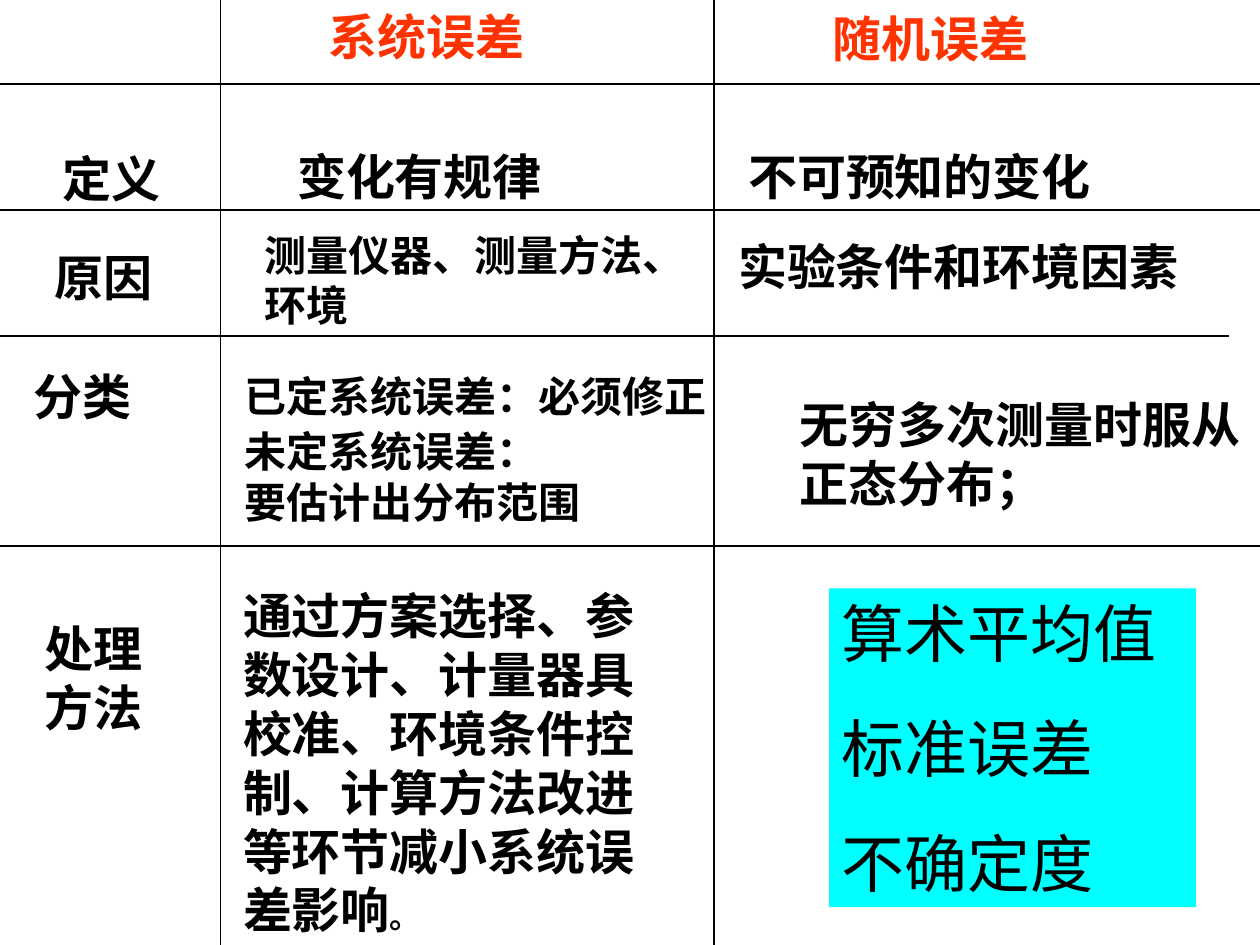
from dataclasses import dataclass

from lxml.etree import SubElement
from pptx import Presentation
from pptx.dml.color import RGBColor
from pptx.enum.shapes import MSO_CONNECTOR, MSO_SHAPE
from pptx.enum.text import MSO_ANCHOR, MSO_AUTO_SIZE, PP_ALIGN
from pptx.oxml.ns import qn
from pptx.util import Pt

WIDTH, HEIGHT = 720, 540
SIDE_MARGIN, SLACK = 7.2, 1
BLACK, RED, CYAN = "000000", "FF3300", "00FFFF"
LATIN, CHINESE = "Arial", "Noto Sans CJK SC"
FRAME_FORMAT = {
    "margin_left": Pt(SIDE_MARGIN),
    "margin_right": Pt(SIDE_MARGIN),
    "margin_top": Pt(3.6),
    "margin_bottom": Pt(3.6),
    "vertical_anchor": MSO_ANCHOR.TOP,
    "auto_size": MSO_AUTO_SIZE.SHAPE_TO_FIT_TEXT,
}


@dataclass(frozen=True)
class Entry:
    left: float
    top: float
    height: float
    lines: tuple
    wrap_width: float = 0
    size: float = 28
    color: str = BLACK
    font: str = LATIN
    bold: bool = True
    fill: str = ""
    gap: float = 0
    indent: float = 0

    @property
    def width(self) -> float:
        longest = max(len(line) for line in self.lines)
        return self.wrap_width or longest * self.size + 2 * SIDE_MARGIN + SLACK


@dataclass(frozen=True)
class Rule:
    x1: float
    y1: float
    x2: float
    y2: float


HEADERS = (
    Entry(180.7, 0, 41, ("系统误差",), color=RED),
    Entry(468.7, 1.4, 41, ("随机误差",), color=RED),
)
ROW_LABELS = (
    Entry(28.8, 81.4, 41, ("定义",)),
    Entry(24.2, 138, 41, ("原因",)),
    Entry(12.2, 206, 74.9 - 33.9, ("分类",)),
    Entry(18.3, 350, 74.9, ("处理", "方法")),
)
SYSTEMATIC = (
    Entry(162.7, 79.9, 41, ("变化有规律",)),
    Entry(144, 127.4, 64.8, ("测量仪器、测量方法、", "环境"), 257.8, size=24),
    Entry(132.5, 208, 36, ("已定系统误差：必须修正",), size=24),
    Entry(132.5, 239.8, 64.8, ("未定系统误差：", "要估计出分布范围"), size=24),
    Entry(131.8, 331.2, 208.8,
          ((("通过方案选择、参数设计、计量器具校准、环境条件控制、"
             "计算方法改进等环节减小系统误差影响", 28), ("。", 18)),),
          264.2, font=CHINESE),
)
RANDOM = (
    Entry(420.5, 79.9, 41, ("不可预知的变化",)),
    Entry(414.7, 131.8, 41, ("实验条件和环境因素",)),
    Entry(414, 221.8, 74.9, ("无穷多次测量时服从", "正态分布；"), 329.8, indent=36),
    Entry(473.8, 336.2, 182.2, ("算术平均值", "标准误差", "不确定度"), 209.5, size=36,
          font=CHINESE, bold=False, fill=CYAN, gap=22.5),
)
RULES = tuple(Rule(x, 0, x, HEIGHT) for x in (126, 408)) + tuple(
    Rule(0, y, right, y) for y, right in ((48, WIDTH), (120, WIDTH), (192, 702), (312, WIDTH))
)


def rgb(code: str) -> RGBColor:
    return RGBColor.from_string(code)


def apply_format(target, values: dict) -> None:
    for attribute, value in values.items():
        setattr(target, attribute, value)


def add_run(paragraph, text: str, size: float, entry: Entry) -> None:
    run = paragraph.add_run()
    run.text = text
    apply_format(run.font, {"size": Pt(size), "bold": entry.bold, "name": entry.font})
    run.font.color.rgb = rgb(entry.color)
    SubElement(run.font._element, qn("a:ea"), typeface=CHINESE)


def draw_entry(slide, entry: Entry) -> None:
    bounds = [Pt(v) for v in (entry.left, entry.top, entry.width, entry.height)]
    if entry.fill:
        cell = slide.shapes.add_shape(MSO_SHAPE.RECTANGLE, *bounds)
        cell.shadow.inherit = False
        cell.fill.solid()
        cell.fill.fore_color.rgb = rgb(entry.fill)
        cell.line.fill.background()
    else:
        cell = slide.shapes.add_textbox(*bounds)
    frame = cell.text_frame
    apply_format(frame, FRAME_FORMAT | {"word_wrap": bool(entry.wrap_width)})
    for index, line in enumerate(entry.lines):
        paragraph = frame.add_paragraph() if index else frame.paragraphs[0]
        paragraph.alignment = PP_ALIGN.LEFT
        if index and entry.gap:
            paragraph.space_before = Pt(entry.gap)
        if entry.indent:
            paragraph.level = 1
            properties = paragraph._p.get_or_add_pPr()
            properties.set("marL", str(Pt(entry.indent)))
            properties.set("indent", "0")
        parts = ((line, entry.size),) if isinstance(line, str) else line
        for text, size in parts:
            add_run(paragraph, text, size, entry)


def draw_rule(slide, rule: Rule) -> None:
    ends = [Pt(v) for v in (rule.x1, rule.y1, rule.x2, rule.y2)]
    divider = slide.shapes.add_connector(MSO_CONNECTOR.STRAIGHT, *ends)
    divider.line.width = Pt(0.75)
    divider.line.color.rgb = rgb(BLACK)
    SubElement(divider._element.spPr, qn("a:effectLst"))


def main() -> None:
    presentation = Presentation()
    apply_format(presentation, {"slide_width": Pt(WIDTH), "slide_height": Pt(HEIGHT)})
    slide = presentation.slides.add_slide(presentation.slide_layouts[6])
    for entry in HEADERS + ROW_LABELS + SYSTEMATIC + RANDOM:
        draw_entry(slide, entry)
    for rule in RULES:
        draw_rule(slide, rule)
    presentation.save("out.pptx")


if __name__ == "__main__":
    main()
